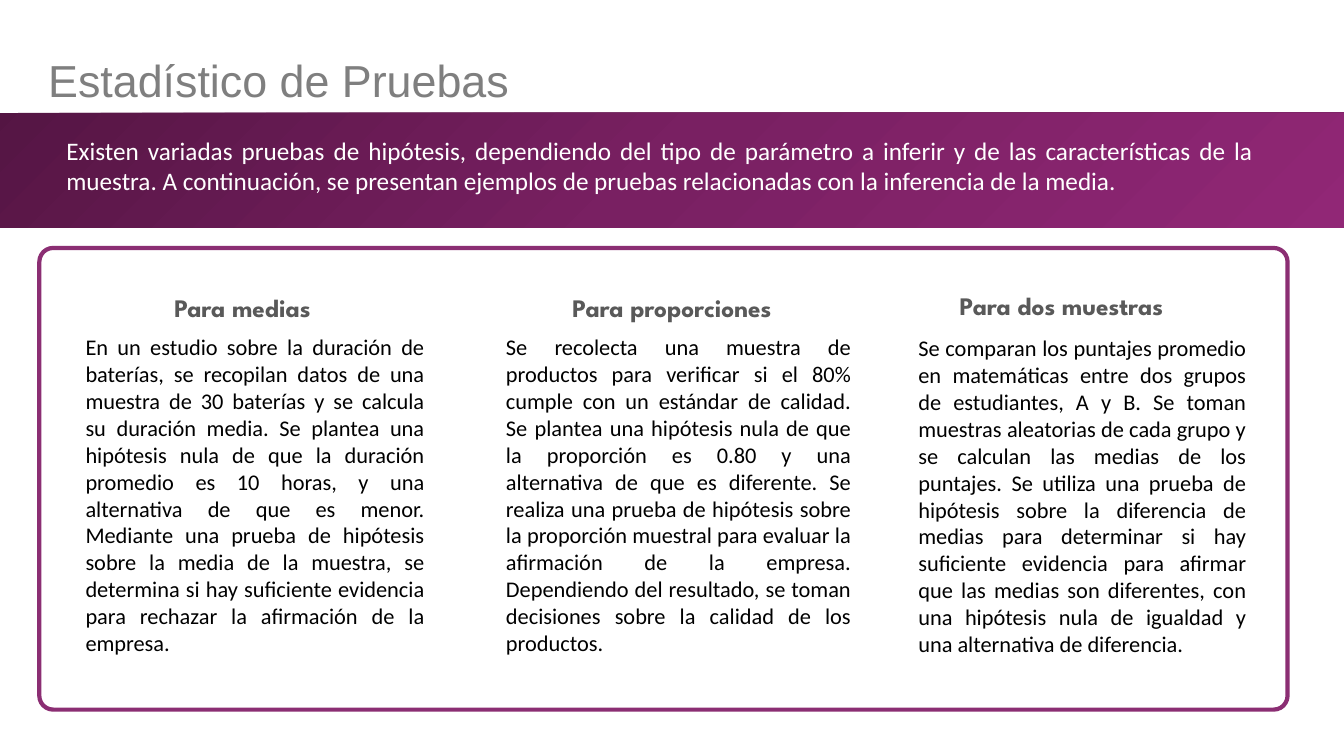
"""Builds the slide on test statistics with python-pptx."""
from copy import deepcopy
from dataclasses import dataclass

from lxml import etree
from pptx import Presentation
from pptx.dml.color import RGBColor
from pptx.enum.shapes import MSO_SHAPE
from pptx.enum.text import MSO_ANCHOR, MSO_AUTO_SIZE, PP_ALIGN
from pptx.oxml.ns import qn
from pptx.util import Inches, Pt

RECT, ROUNDED = MSO_SHAPE.RECTANGLE, MSO_SHAPE.ROUNDED_RECTANGLE
JUSTIFY, LEFT = PP_ALIGN.JUSTIFY, PP_ALIGN.LEFT
TOP, MIDDLE = MSO_ANCHOR.TOP, MSO_ANCHOR.MIDDLE
FIT = MSO_AUTO_SIZE.SHAPE_TO_FIT_TEXT

WHITE, PURPLE = "FFFFFF", "8B2E73"
BAND_STOPS = [(0, "541543"), (0.5, "792062"), (1, "912776")]
PANEL_TOP, PANEL_W, PANEL_H = 2.8, 3.85, 3.99
HEADING_H, BODY_H = 0.4, 3.33

TITLE_STYLE = {"name": "Arial", "size": Pt(32), "color": "7F7F7F"}
INTRO_STYLE = {"name": "Calibri", "size": Pt(18), "color": WHITE}
HEADING_STYLE = {"name": "League Spartan", "size": Pt(18), "bold": True, "color": "595959"}
BODY_STYLE = {"name": "Calibri", "size": Pt(16), "color": "000000"}

INTRO = (
    "Existen variadas pruebas de hipótesis, dependiendo del tipo de parámetro a inferir "
    "y de las características de la muestra. A continuación, se presentan ejemplos de "
    "pruebas relacionadas con la inferencia de la media."
)


@dataclass
class Box:
    """Position and size in inches."""
    x: float
    y: float
    w: float
    h: float

    def emu(self) -> list:
        """Return the four lengths for python-pptx."""
        return [Inches(v) for v in (self.x, self.y, self.w, self.h)]


@dataclass
class Column:
    """One test: its panel, heading and example."""
    panel_x: float
    heading: str
    heading_box: Box
    body: str
    body_box: Box


COLUMNS = [
    Column(
        0.56, "Para medias", Box(1.63, 2.85, 1.72, HEADING_H),
        "En un estudio sobre la duración de baterías, se recopilan datos de una muestra de "
        "30 baterías y se calcula su duración media. Se plantea una hipótesis nula de que la "
        "duración promedio es 10 horas, y una alternativa de que es menor. Mediante una prueba "
        "de hipótesis sobre la media de la muestra, se determina si hay suficiente evidencia "
        "para rechazar la afirmación de la empresa.",
        Box(0.75, 3.26, 3.56, BODY_H),
    ),
    Column(
        4.7, "Para proporciones", Box(5.58, 2.85, 2.47, HEADING_H),
        "Se recolecta una muestra de productos para verificar si el 80% cumple con un estándar "
        "de calidad. Se plantea una hipótesis nula de que la proporción es 0.80 y una "
        "alternativa de que es diferente. Se realiza una prueba de hipótesis sobre la "
        "proporción muestral para evaluar la afirmación de la empresa. Dependiendo del "
        "resultado, se toman decisiones sobre la calidad de los productos.",
        Box(4.92, 3.26, 3.62, BODY_H),
    ),
    Column(
        8.73, "Para dos muestras", Box(9.42, 2.83, 2.48, HEADING_H),
        "Se comparan los puntajes promedio en matemáticas entre dos grupos de estudiantes, A y "
        "B. Se toman muestras aleatorias de cada grupo y se calculan las medias de los "
        "puntajes. Se utiliza una prueba de hipótesis sobre la diferencia de medias para "
        "determinar si hay suficiente evidencia para afirmar que las medias son diferentes, "
        "con una hipótesis nula de igualdad y una alternativa de diferencia.",
        Box(9.01, 3.27, 3.45, BODY_H),
    ),
]


def paint(color, value: str) -> None:
    """Set a colour format from a hex string."""
    color.rgb = RGBColor.from_string(value)


def add_block(s, kind, box: Box, line: str = "", width: float = 0):
    """Add a white shape, outlined if a line colour is given."""
    sp = s.shapes.add_shape(kind, *box.emu())
    sp.shadow.inherit = False
    if kind == ROUNDED:
        sp.adjustments[0] = 0.03
    sp.fill.solid()
    paint(sp.fill.fore_color, WHITE)
    if line:
        paint(sp.line.color, line)
        sp.line.width = Pt(width)
    else:
        sp.line.fill.background()
    return sp


def add_band(s, box: Box) -> None:
    """Add the diagonal gradient band."""
    sp = add_block(s, ROUNDED, box)
    sp.fill.gradient()
    sp.fill.gradient_angle = 315
    stops = next(sp.element.iter(qn("a:gsLst")))
    stops.append(deepcopy(stops[-1]))
    for stop, (position, color) in zip(sp.fill.gradient_stops, BAND_STOPS):
        stop.position = position
        paint(stop.color, color)


def add_panel(s, x: float) -> None:
    """Add the translucent panel of a column."""
    sp = add_block(s, RECT, Box(x, PANEL_TOP, PANEL_W, PANEL_H), WHITE, 1)
    color = next(sp.element.spPr.iter(qn("a:srgbClr")))
    etree.SubElement(color, qn("a:alpha"), val="64000")


def add_text(s, box: Box, text: str, style: dict, align=JUSTIFY, anchor=TOP,
             spacing: float = 1.0, fit: bool = True) -> None:
    """Add a wrapped one-paragraph text box."""
    tf = s.shapes.add_textbox(*box.emu()).text_frame
    tf.word_wrap = True
    tf.vertical_anchor = anchor
    if fit:
        tf.auto_size = FIT
    p = tf.paragraphs[0]
    p.alignment = align
    p.line_spacing = spacing
    r = p.add_run()
    r.text = text
    for name, value in style.items():
        if name == "color":
            paint(r.font.color, value)
        else:
            setattr(r.font, name, value)


def main() -> None:
    """Build and save the slide."""
    prs = Presentation()
    prs.slide_width, prs.slide_height = Inches(13.33), Inches(7.5)
    s = prs.slides.add_slide(prs.slide_layouts[6])
    add_band(s, Box(-0.23, 1.12, 13.62, 1.14))
    add_text(s, Box(0.38, 0.11, 11.79, 1.1), "Estadístico de Pruebas", TITLE_STYLE,
             anchor=MIDDLE, spacing=1.5, fit=False)
    add_text(s, Box(0.56, 1.29, 11.97, 0.71), INTRO, INTRO_STYLE)
    add_block(s, ROUNDED, Box(0.39, 2.46, 12.38, 4.58), PURPLE, 3)
    for column in COLUMNS:
        add_panel(s, column.panel_x)
        add_text(s, column.heading_box, column.heading, HEADING_STYLE, LEFT)
        add_text(s, column.body_box, column.body, BODY_STYLE)
    prs.save("out.pptx")


if __name__ == "__main__":
    main()
